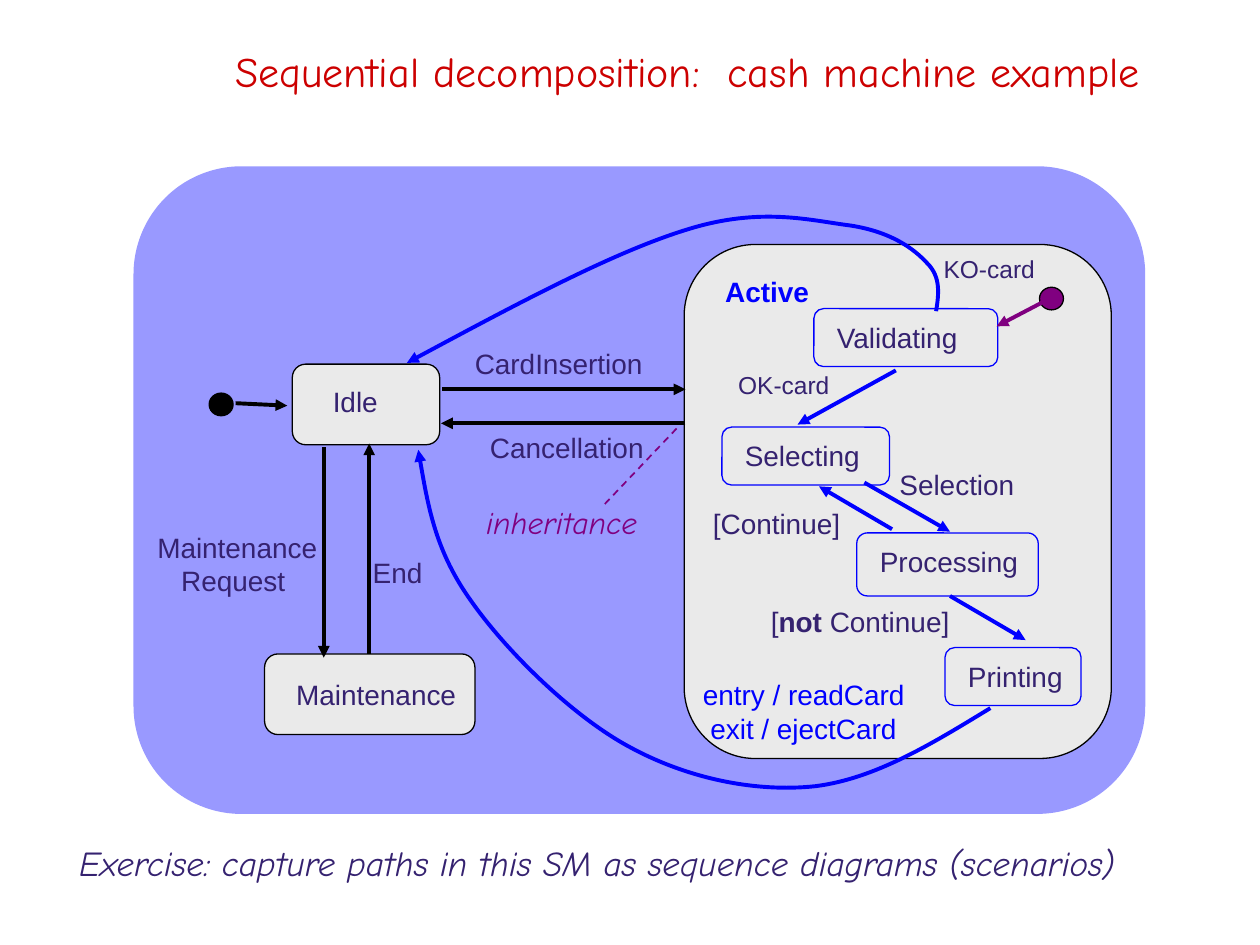
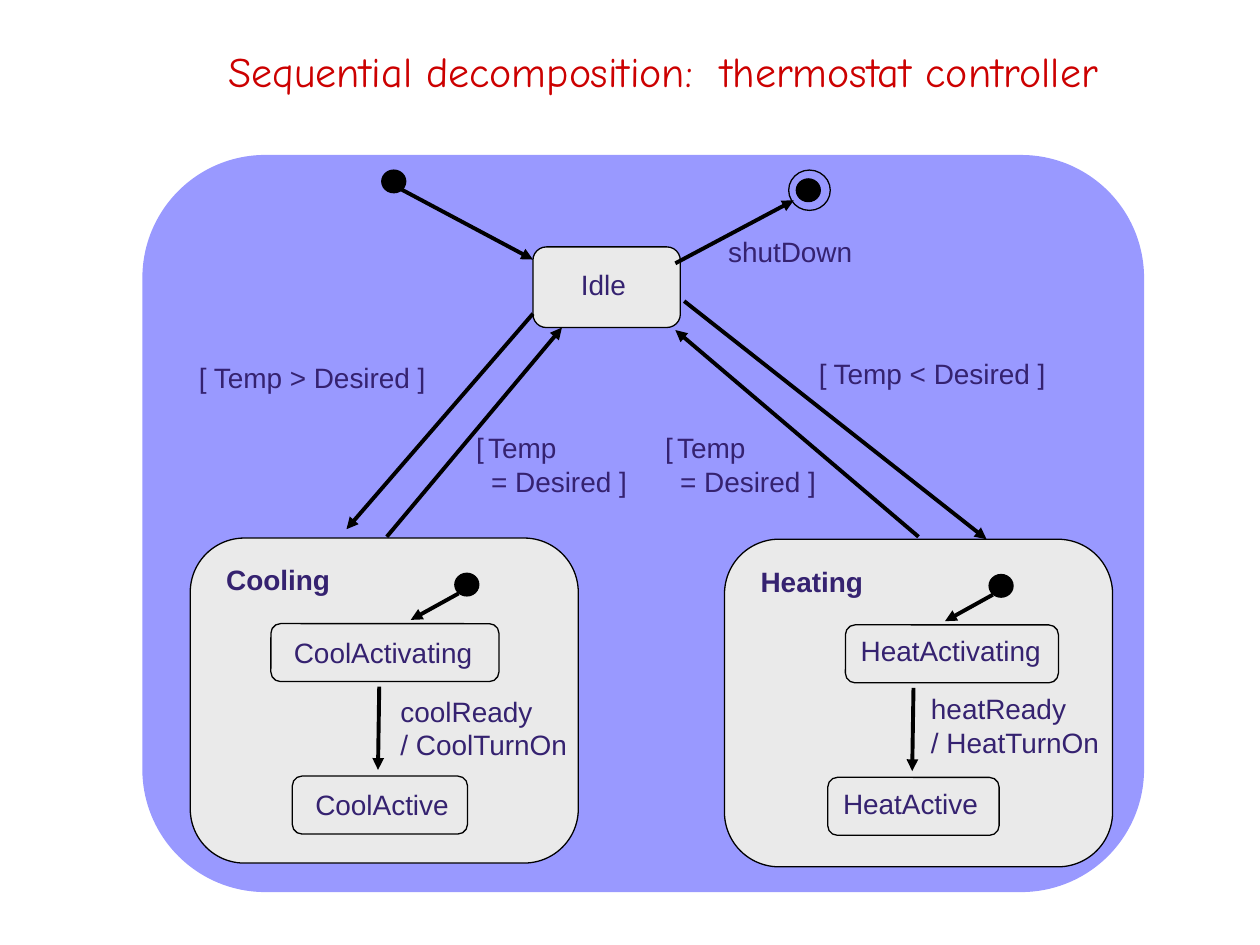
from lxml.etree import SubElement
from pptx import Presentation
from pptx.dml.color import RGBColor
from pptx.enum.dml import MSO_LINE
from pptx.enum.shapes import MSO_CONNECTOR, MSO_SHAPE
from pptx.enum.text import MSO_ANCHOR, PP_ALIGN
from pptx.oxml.ns import qn
from pptx.util import Inches, Pt

COLOURS = {
    "title": "CC0000",
    "text": "352270",
    "machine": "9999FF",
    "state": "EAEAEA",
    "black": "000000",
    "blue": "0000FF",
    "purple": "800080",
}
BODY_FONT = "Arial"
HAND_FONT = "Comic Neue"
DOT_SIZE = (0.19, 0.18)
SUBSTATE_HEIGHT = 0.46
STATE_INSET = (0.16, 0.07)
PLAIN_INSET = (0.1, 0.05)

SMALL = {"size": 14}
BLUE = {"colour": "blue"}
BOLD = {"bold": True}
TEMP_EQUALS = [(0, [("[", {}), (" ", {"size": 9}), ("Temp", {})]), (0.12, "= Desired ]")]

CASH_MACHINE = {
    "title": ("Sequential decomposition:  cash machine example", 8.63),
    "machine": (1.06, 1.32, 8.03, 5.14),
    "states": [
        ("Active", (5.43, 1.94, 3.39, 4.08), "black", STATE_INSET, {"colour": "blue", "bold": True}),
        ("Idle", (2.32, 2.89, 1.17, 0.64), "black", (0.29, 0.05), {"spacing": 1.3}),
        ("Maintenance", (2.1, 5.19, 1.67, 0.64), "black", (0.22, 0.05), {"spacing": 1.4}),
        ("Validating", (6.46, 2.45, 1.46, SUBSTATE_HEIGHT), "blue", STATE_INSET, {}),
        ("Selecting", (5.73, 3.39, 1.33, SUBSTATE_HEIGHT), "blue", STATE_INSET, {}),
        ("Processing", (6.8, 4.23, 1.44, 0.5), "blue", STATE_INSET, {}),
        ("Printing", (7.5, 5.14, 1.08, SUBSTATE_HEIGHT), "blue", STATE_INSET, {}),
    ],
    "dots": [(1.66, 3.12, "black"), (8.25, 2.28, "purple")],
    "arrows": {
        "black": [
            (1.87, 3.2, 2.28, 3.22),
            (3.51, 3.09, 5.44, 3.09),
            (5.44, 3.36, 3.5, 3.36),
            (2.57, 3.55, 2.57, 5.22),
            (2.93, 5.19, 2.93, 3.52),
        ],
        "blue": [
            (7.11, 2.94, 6.33, 3.37),
            (6.86, 3.83, 7.54, 4.22),
            (7.08, 4.2, 6.5, 3.86),
            (7.54, 4.73, 8.14, 5.08),
        ],
        "purple": [(8.33, 2.37, 7.91, 2.59)],
    },
    "curves": [
        [(7.86, 5.62), (7.4, 5.9), (6.95, 6.18), (6.47, 6.24), (6, 6.29), (5.46, 6.18), (5, 5.93),
         (4.55, 5.69), (4.02, 5.17), (3.74, 4.77), (3.46, 4.38), (3.39, 3.98), (3.32, 3.57)],
        [(7.43, 2.47), (7.45, 2.34), (7.47, 2.2), (7.36, 2.09), (7.25, 1.97), (7.07, 1.84), (6.75, 1.79),
         (6.43, 1.75), (6.04, 1.64), (5.46, 1.82), (4.87, 2), (4.05, 2.44), (3.23, 2.88)],
    ],
    "dashed": [(4.8, 4, 5.39, 3.38)],
    "labels": [
        ("CardInsertion", (3.67, 2.7, 1.56, 0.38), {}),
        ("Cancellation", (3.79, 3.37, 1.51, 0.36), {}),
        ("KO-card", (7.39, 1.97, 0.94, 0.39), SMALL),
        ("OK-card", (5.76, 2.89, 1.04, 0.39), SMALL),
        ("Selection", (7.04, 3.66, 1.12, 0.38), {}),
        ("[Continue]", (5.56, 3.97, 1.24, 0.38), {}),
        ([(0, [("[", {}), ("not", BOLD), (" Continue]", {})])], (6.02, 4.75, 1.69, 0.38), {}),
        ([(0, "entry / readCard"), (0.06, "exit / ejectCard")], (5.48, 5.33, 1.94, 0.61), BLUE),
        ([(0, "Maintenance"), (0.19, "Request")], (1.15, 4.16, 1.53, 0.6), {}),
        ("End", (2.86, 4.36, 0.68, 0.38), {}),
        ("inheritance", (3.76, 3.94, 1.55, 0.46),
         {"size": 18, "font": HAND_FONT, "colour": "purple", "italic": True}),
        ("Exercise: capture paths in this SM as sequence diagrams (scenarios)", (0.53, 6.63, 9.23, 0.46),
         {"size": 20, "font": HAND_FONT, "italic": True}),
    ],
}

THERMOSTAT = {
    "title": ("Sequential decomposition:  thermostat controller", 8.24),
    "machine": (1.13, 1.23, 7.95, 5.85),
    "states": [("Idle", (4.23, 1.96, 1.17, 0.64), "black", (0.35, 0.05), {"spacing": 1.3})],
    "dots": [(3.03, 1.35, "black"), (6.32, 1.42, "black")],
    "rings": [(6.26, 1.35, 0.33, 0.32)],
    "arrows": {
        "black": [
            (3.16, 1.49, 4.23, 2.06),
            (5.36, 2.09, 6.3, 1.59),
            (4.23, 2.49, 2.75, 4.2),
            (3.07, 4.26, 4.46, 2.6),
            (5.43, 2.39, 7.83, 4.28),
            (7.29, 4.26, 5.36, 2.62),
        ],
    },
    "labels": [
        ("shutDown", (5.68, 1.81, 1.29, 0.38), {}),
        ("[ Temp > Desired ]", (1.48, 2.81, 2.17, 0.43), {}),
        ("[ Temp < Desired ]", (6.4, 2.78, 2.06, 0.4), {}),
        (TEMP_EQUALS, (3.68, 3.37, 1.43, 0.6), {}),
        (TEMP_EQUALS, (5.18, 3.37, 1.44, 0.6), {}),
        ([(0, "coolReady"), (0, "/ CoolTurnOn")], (3.08, 5.46, 1.61, 0.64), {}),
        ([(0, "heatReady"), (0, "/ HeatTurnOn")], (7.29, 5.44, 1.58, 0.61), {}),
    ],
}

MODES = [
    ("Cooling", (1.51, 4.27, 3.08, 2.58), STATE_INSET,
     [("CoolActivating", 0.64, 1.81), ("CoolActive", 0.81, 1.39)]),
    ("Heating", (5.75, 4.28, 3.08, 2.6), PLAIN_INSET,
     [("HeatActivating", 0.96, 1.69), ("HeatActive", 0.82, 1.36)]),
]
MODE_SUBSTATE_TOPS = (0.68, 1.89)
MODE_DOT = (2.1, 0.28)
MODE_ARROWS = [(2.13, 0.44, 1.75, 0.65), (1.5, 1.18, 1.49, 1.84)]


def add_modes(diagram):
    for name, box, inset, substates in MODES:
        left, top = box[:2]
        diagram["states"].append((name, box, "black", STATE_INSET, BOLD))
        for (label, offset, width), drop in zip(substates, MODE_SUBSTATE_TOPS):
            place = (left + offset, top + drop, width, SUBSTATE_HEIGHT)
            diagram["states"].append((label, place, "black", inset, {}))
        diagram["dots"].append((left + MODE_DOT[0], top + MODE_DOT[1], "black"))
        diagram["arrows"]["black"] += [
            (left + x1, top + y1, left + x2, top + y2) for x1, y1, x2, y2 in MODE_ARROWS
        ]


def rgb(colour):
    return RGBColor.from_string(COLOURS[colour])


def inches(values):
    return [Inches(value) for value in values]


def set_font(font, size=16, name=BODY_FONT, colour="text", bold=False, italic=False):
    font.size, font.name = Pt(size), name
    font.bold, font.italic = bold, italic
    font.color.rgb = rgb(colour)


def write(shape, content, inset=PLAIN_INSET, size=16, font=BODY_FONT, colour="text",
          bold=False, italic=False, spacing=None, align=PP_ALIGN.LEFT, anchor=MSO_ANCHOR.TOP):
    frame = shape.text_frame
    frame.word_wrap = True
    frame.vertical_anchor = anchor
    frame.margin_left, frame.margin_top = inches(inset)
    frame.margin_right = 0 if align == PP_ALIGN.LEFT else Inches(inset[0])
    base = {"size": size, "name": font, "colour": colour, "bold": bold, "italic": italic}
    lines = [(0, content)] if isinstance(content, str) else content
    for index, (indent, runs) in enumerate(lines):
        paragraph = frame.add_paragraph() if index else frame.paragraphs[0]
        paragraph.alignment = align
        if spacing:
            paragraph.line_spacing = spacing
        if indent:
            paragraph._p.get_or_add_pPr().set("marL", str(Inches(indent)))
        set_font(paragraph.font, **base)
        for text, changes in [(runs, {})] if isinstance(runs, str) else runs:
            run = paragraph.add_run()
            run.text = text
            if changes:
                set_font(run.font, **{**base, **changes})


def add_label(slide, content, box, **style):
    write(slide.shapes.add_textbox(*inches(box)), content, **style)


def add_block(slide, kind, box, fill=None, line=None):
    shape = slide.shapes.add_shape(kind, *inches(box))
    shape.shadow.inherit = False
    if fill:
        shape.fill.solid()
        shape.fill.fore_color.rgb = rgb(fill)
    else:
        shape.fill.background()
    if line:
        shape.line.color.rgb = rgb(line)
        shape.line.width = Pt(0.75)
    else:
        shape.line.fill.background()
    return shape


def style_line(shape, colour, width=2.25, arrow=True):
    shape.line.color.rgb = rgb(colour)
    shape.line.width = Pt(width)
    if arrow:
        SubElement(shape.line._get_or_add_ln(), qn("a:tailEnd"), type="triangle")


def add_line(slide, ends, colour, dashed=False):
    connector = slide.shapes.add_connector(MSO_CONNECTOR.STRAIGHT, *inches(ends))
    if dashed:
        connector.line.dash_style = MSO_LINE.DASH
    style_line(connector, colour, 1 if dashed else 2.25, not dashed)
    SubElement(connector._element.spPr, qn("a:effectLst"))


def add_curve(slide, points):
    start, *rest = [tuple(inches(point)) for point in points]
    builder = slide.shapes.build_freeform(*start)
    builder.add_line_segments(rest, close=False)
    shape = builder.convert_to_shape()
    outline = shape._element.find(".//" + qn("a:path"))
    segments = outline.findall(qn("a:lnTo"))
    for first in range(0, len(segments), 3):
        bend = SubElement(outline, qn("a:cubicBezTo"))
        for segment in segments[first:first + 3]:
            bend.append(segment[0])
            outline.remove(segment)
    shape.shadow.inherit = False
    shape.fill.background()
    style_line(shape, "blue")


def draw(presentation, diagram):
    slide = presentation.slides.add_slide(presentation.slide_layouts[6])
    title, width = diagram["title"]
    add_label(slide, title, (1.14, 0.15, width, 0.83), size=24, font=HAND_FONT, colour="title",
              align=PP_ALIGN.CENTER, anchor=MSO_ANCHOR.MIDDLE)
    add_block(slide, MSO_SHAPE.ROUNDED_RECTANGLE, diagram["machine"], "machine")
    for name, box, line, inset, style in diagram["states"]:
        state = add_block(slide, MSO_SHAPE.ROUNDED_RECTANGLE, box, "state", line)
        write(state, name, inset, **style)
    for left, top, colour in diagram["dots"]:
        add_block(slide, MSO_SHAPE.OVAL, (left, top, *DOT_SIZE), colour, "black")
    for box in diagram.get("rings", []):
        add_block(slide, MSO_SHAPE.OVAL, box, line="black")
    for colour, arrows in diagram["arrows"].items():
        for ends in arrows:
            add_line(slide, ends, colour)
    for points in diagram.get("curves", []):
        add_curve(slide, points)
    for ends in diagram.get("dashed", []):
        add_line(slide, ends, "purple", dashed=True)
    for content, box, style in diagram["labels"]:
        add_label(slide, content, box, **style)


def main():
    presentation = Presentation()
    presentation.slide_width, presentation.slide_height = Inches(10), Inches(7.5)
    add_modes(THERMOSTAT)
    for diagram in (CASH_MACHINE, THERMOSTAT):
        draw(presentation, diagram)
    presentation.save("out.pptx")


if __name__ == "__main__":
    main()
